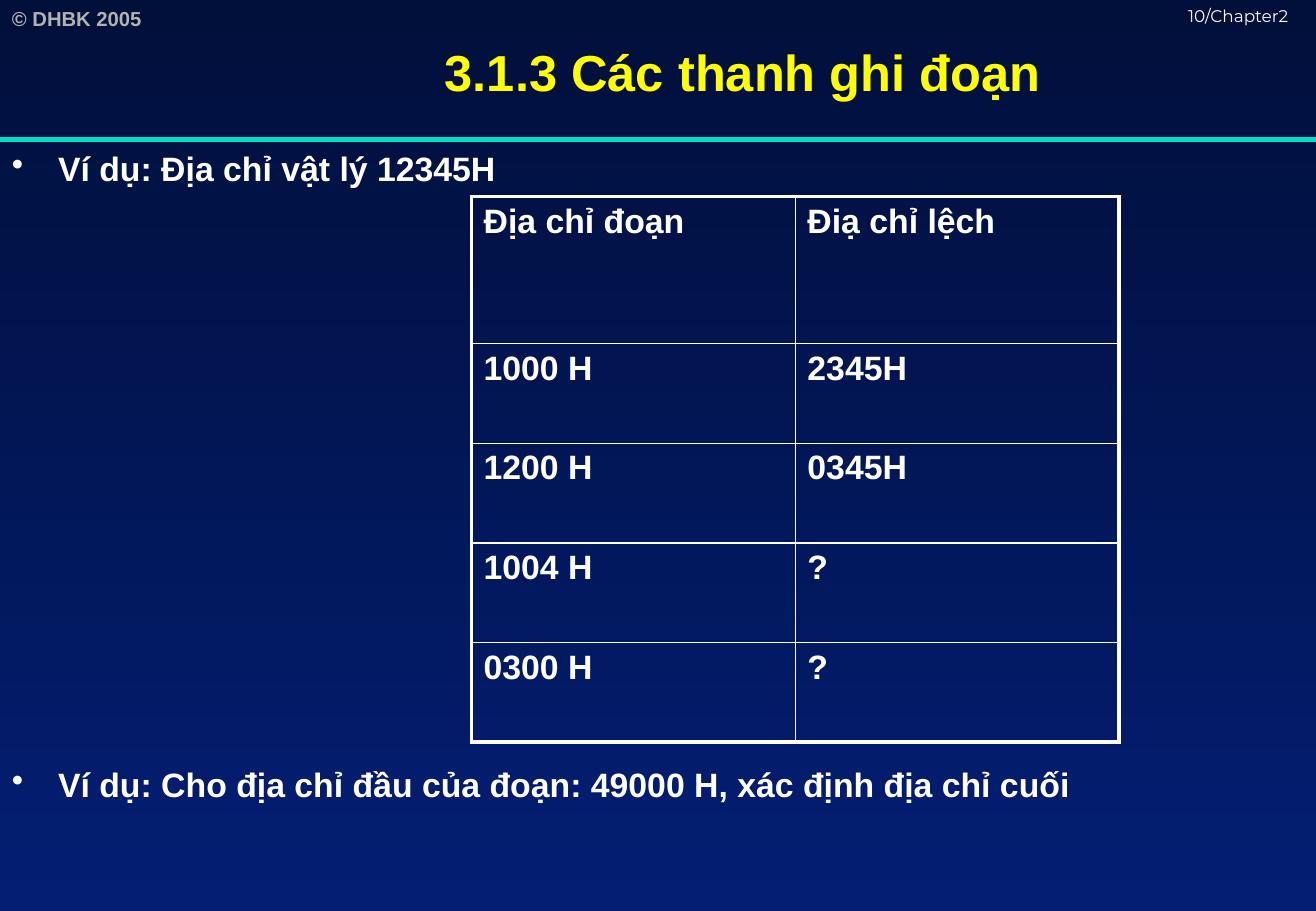
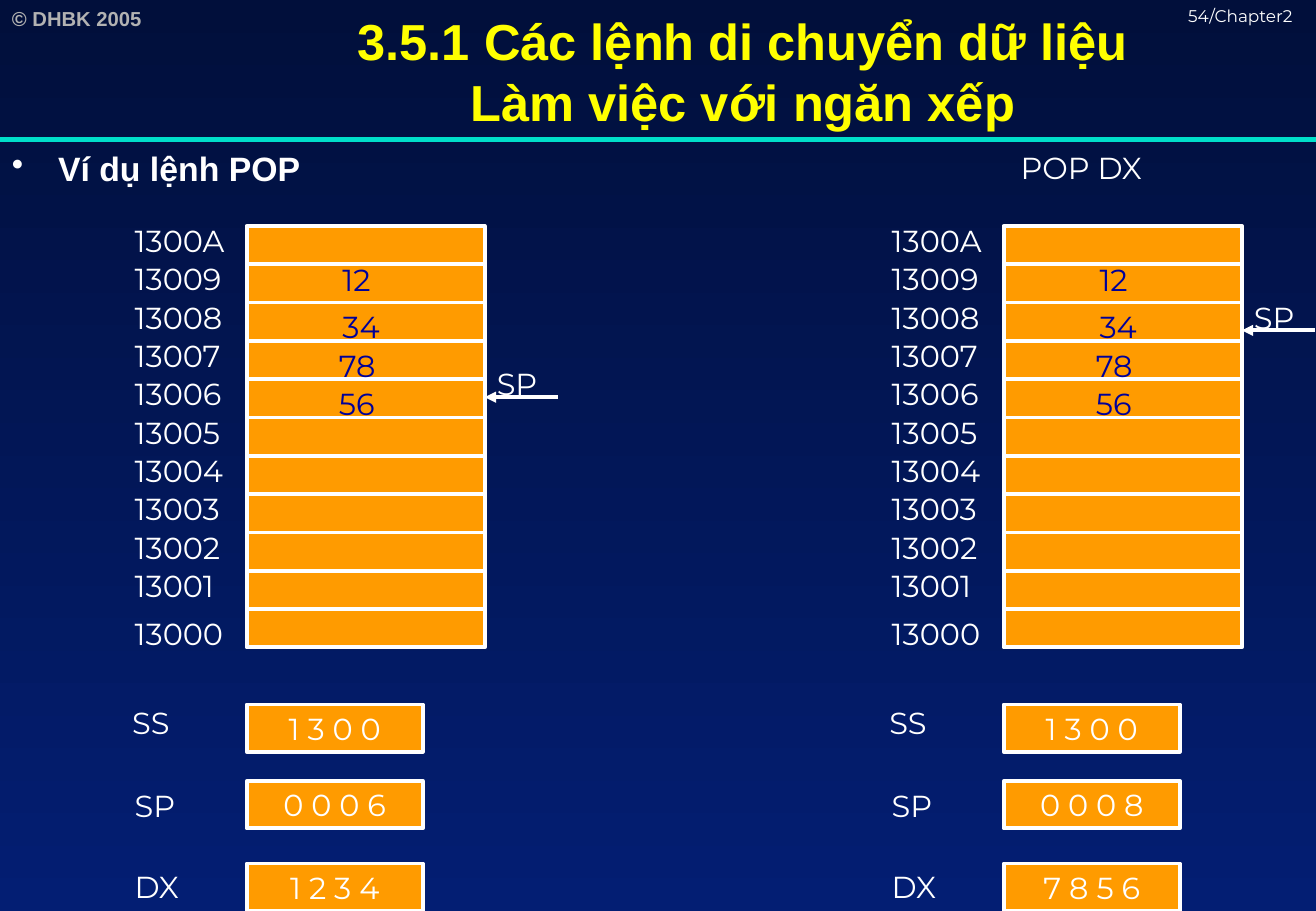
import pptx
import pptx.util
import pptx.dml.color
import pptx.enum.shapes
import pptx.enum.text
import pptx.oxml
import pptx.oxml.ns

Inches = pptx.util.Inches
Pt = pptx.util.Pt
RGBColor = pptx.dml.color.RGBColor
Align = pptx.enum.text.PP_ALIGN
Anchor = pptx.enum.text.MSO_ANCHOR

NAVY_TOP = RGBColor(0x01, 0x0F, 0x3B)
NAVY_BOTTOM = RGBColor(0x03, 0x1E, 0x73)
TEAL = RGBColor(0x00, 0xDF, 0xCA)
GRAY = RGBColor(0xB2, 0xB2, 0xB2)
WHITE = RGBColor(0xFF, 0xFF, 0xFF)
YELLOW = RGBColor(0xFF, 0xFF, 0x00)
ORANGE = RGBColor(0xFF, 0x9B, 0x00)
INK = RGBColor(0x00, 0x00, 0x99)

SLIDE_WIDTH, SLIDE_HEIGHT = 10.83, 7.5
TITLE_BOTTOM = 1.17
THICK, THIN = 2.25, 1

COPYRIGHT = ({"name": "Arial", "size": Pt(12), "bold": True}, GRAY)
PAGE = ({"name": "Montserrat", "size": Pt(10)}, WHITE)
TITLE = ({"name": "Arial", "size": Pt(30), "bold": True}, YELLOW)
BODY = ({"name": "Arial", "size": Pt(20), "bold": True}, WHITE)
LABEL = ({"name": "Montserrat", "size": Pt(18)}, WHITE)
VALUE = ({"name": "Montserrat", "size": Pt(18)}, INK)

ADDRESS_ROWS = [
    ("Địa chỉ đoạn", "Điạ chỉ lệch"),
    ("1000 H", "2345H"),
    ("1200 H", "0345H"),
    ("1004 H", "?"),
    ("0300 H", "?"),
]
ADDRESSES = ["1300A"] + [f"1300{digit}" for digit in range(9, -1, -1)]
STACK_VALUES = [("12", 1.71, 0.32), ("34", 1.71, 0.71), ("78", 1.68, 1.03), ("56", 1.68, 1.34)]
REGISTERS = [("SS", -0.02, 3.97, 4.02), ("SP", 0, 4.65, 4.65), ("DX", 0, 5.32, 5.33)]


def apply_format(target, values):
    for name, value in values.items():
        setattr(target, name, value)


def write(paragraph, text, style):
    values, color = style
    paragraph.text = text
    for run in paragraph.runs:
        apply_format(run.font, values)
        run.font.color.rgb = color


def add_text(slide, box, text, style, align=Align.LEFT, anchor=Anchor.TOP):
    shape = slide.shapes.add_textbox(*map(Inches, box))
    apply_format(shape.text_frame, {"word_wrap": True, "vertical_anchor": anchor})
    paragraph = shape.text_frame.paragraphs[0]
    paragraph.alignment = align
    write(paragraph, text, style)


def add_line(slide, start, end, color=WHITE, width=THICK, arrow=False):
    connector = slide.shapes.add_connector(
        pptx.enum.shapes.MSO_CONNECTOR.STRAIGHT, *map(Inches, (*start, *end)))
    connector.line.color.rgb = color
    connector.line.width = Pt(width)
    properties = connector._element.spPr
    if arrow:
        head = pptx.oxml.parse_xml(
            f'<a:tailEnd {pptx.oxml.ns.nsdecls("a")} type="triangle"/>')
        properties.get_or_add_ln().append(head)
    properties.append(pptx.oxml.parse_xml(f'<a:effectLst {pptx.oxml.ns.nsdecls("a")}/>'))


def add_cell_box(slide, box, text=""):
    shape = slide.shapes.add_shape(
        pptx.enum.shapes.MSO_SHAPE.RECTANGLE, *map(Inches, box))
    shape.shadow.inherit = False
    shape.fill.solid()
    shape.fill.fore_color.rgb = ORANGE
    shape.line.color.rgb = WHITE
    shape.line.width = Pt(THICK)
    if text:
        shape.text_frame.vertical_anchor = Anchor.MIDDLE
        paragraph = shape.text_frame.paragraphs[0]
        paragraph.alignment = Align.CENTER
        write(paragraph, text, LABEL)


def add_bullets(slide, box, items):
    shape = slide.shapes.add_textbox(*map(Inches, box))
    frame = shape.text_frame
    frame.word_wrap = True
    for index, (text, space) in enumerate(items):
        paragraph = frame.add_paragraph() if index else frame.paragraphs[0]
        properties = paragraph._p.get_or_add_pPr()
        properties.set("marL", str(Inches(0.38)))
        properties.set("indent", str(-Inches(0.38)))
        properties.append(pptx.oxml.parse_xml(
            f'<a:buChar {pptx.oxml.ns.nsdecls("a")} char="•"/>'))
        paragraph.space_before = Pt(space)
        write(paragraph, text, BODY)


def set_borders(cell, widths):
    properties = cell._tc.get_or_add_tcPr()
    for index, (side, width) in enumerate(zip("LRTB", widths)):
        properties.insert(index, pptx.oxml.parse_xml(
            f'<a:ln{side} {pptx.oxml.ns.nsdecls("a")} w="{Pt(width)}">'
            f'<a:solidFill><a:srgbClr val="{WHITE}"/></a:solidFill></a:ln{side}>'))


def add_address_table(slide, box):
    row_count, column_count = len(ADDRESS_ROWS), len(ADDRESS_ROWS[0])
    table = slide.shapes.add_table(row_count, column_count, *map(Inches, box)).table
    apply_format(table, {"first_row": False, "horz_banding": False})
    header_height = 1.21
    row_height = (box[3] - header_height) / (row_count - 1)
    for row in range(row_count):
        table.rows[row].height = Inches(row_height if row else header_height)
        for column in range(column_count):
            cell = table.cell(row, column)
            write(cell.text_frame.paragraphs[0], ADDRESS_ROWS[row][column], BODY)
            outer = (column == 0, column == column_count - 1, row == 0, row == row_count - 1)
            set_borders(cell, [THICK if edge else THIN for edge in outer])
            cell.fill.background()


def add_stack_panel(slide, left, top, pointer, registers):
    stack_left, stack_top = left + 1.02, top + 0.08
    stack_width, stack_height = 1.96, 3.47
    stack_right = stack_left + stack_width
    pitch = stack_height / len(ADDRESSES)
    add_cell_box(slide, (stack_left, stack_top, stack_width, stack_height))
    for index, address in enumerate(ADDRESSES):
        if index:
            y = stack_top + index * pitch
            add_line(slide, (stack_left, y), (stack_right, y))
        drop = 0.08 if address == ADDRESSES[-1] else 0
        add_text(slide, (left, top + index * pitch + drop, 1.15, 0.4), address, LABEL)
    for text, x, y in STACK_VALUES:
        add_text(slide, (left + x, top + y, 0.58, 0.4), text, VALUE)
    pointer_y = top + pointer
    add_line(slide, (stack_right + 0.6, pointer_y), (stack_right, pointer_y), arrow=True)
    add_text(slide, (stack_right, pointer_y - 0.31, 0.61, 0.4), "SP", LABEL)
    for (name, shift, label_y, box_y), content in zip(REGISTERS, registers):
        add_text(slide, (left + shift, top + label_y, 0.64, 0.4), name, LABEL)
        add_cell_box(slide, (stack_left, top + box_y, 1.45, 0.39), content)


def add_base_slide(presentation, page, title, bullets):
    slide = presentation.slides.add_slide(presentation.slide_layouts[6])
    add_text(slide, (0, 0, 1.57, 0.3), "© DHBK 2005", COPYRIGHT)
    add_line(slide, (0, 1.15), (SLIDE_WIDTH, 1.15), TEAL, 3)
    add_text(slide, (9.68, 0, 1.15, 0.25), f"{page}/Chapter2", PAGE)
    add_text(slide, (1.4, 0, SLIDE_WIDTH - 1.4, TITLE_BOTTOM), title, TITLE,
             Align.CENTER, Anchor.MIDDLE)
    add_bullets(slide, (0, TITLE_BOTTOM, SLIDE_WIDTH, SLIDE_HEIGHT - TITLE_BOTTOM), bullets)
    return slide


def add_segment_slide(presentation):
    slide = add_base_slide(presentation, 10, "3.1.3 Các thanh ghi đoạn", [
        ("Ví dụ: Địa chỉ vật lý 12345H", 0),
        ("Ví dụ: Cho địa chỉ đầu của đoạn: 49000 H, xác định địa chỉ cuối", 341),
    ])
    add_address_table(slide, (3.88, 1.62, 5.33, 4.49))


def add_pop_slide(presentation):
    slide = add_base_slide(
        presentation, 54, "3.5.1 Các lệnh di chuyển dữ liệu\vLàm việc với ngăn xếp",
        [("Ví dụ lệnh POP", 0)])
    add_stack_panel(slide, 1.01, 1.78, 1.49, ("1 3 0 0", "0 0 0 6", "1 2 3 4"))
    add_stack_panel(slide, 7.24, 1.78, 0.94, ("1 3 0 0", "0 0 0 8", "7 8 5 6"))
    add_text(slide, (8.3, 1.18, 1.35, 0.4), "POP DX", LABEL)


def set_background(presentation):
    fill = presentation.slide_master.background.fill
    fill.gradient()
    fill.gradient_angle = 270
    for stop, position, color in zip(fill.gradient_stops, (0, 1), (NAVY_TOP, NAVY_BOTTOM)):
        stop.position = position
        stop.color.rgb = color


def main():
    presentation = pptx.Presentation()
    apply_format(presentation, {
        "slide_width": Inches(SLIDE_WIDTH), "slide_height": Inches(SLIDE_HEIGHT)})
    set_background(presentation)
    add_segment_slide(presentation)
    add_pop_slide(presentation)
    presentation.save("out.pptx")


if __name__ == "__main__":
    main()
